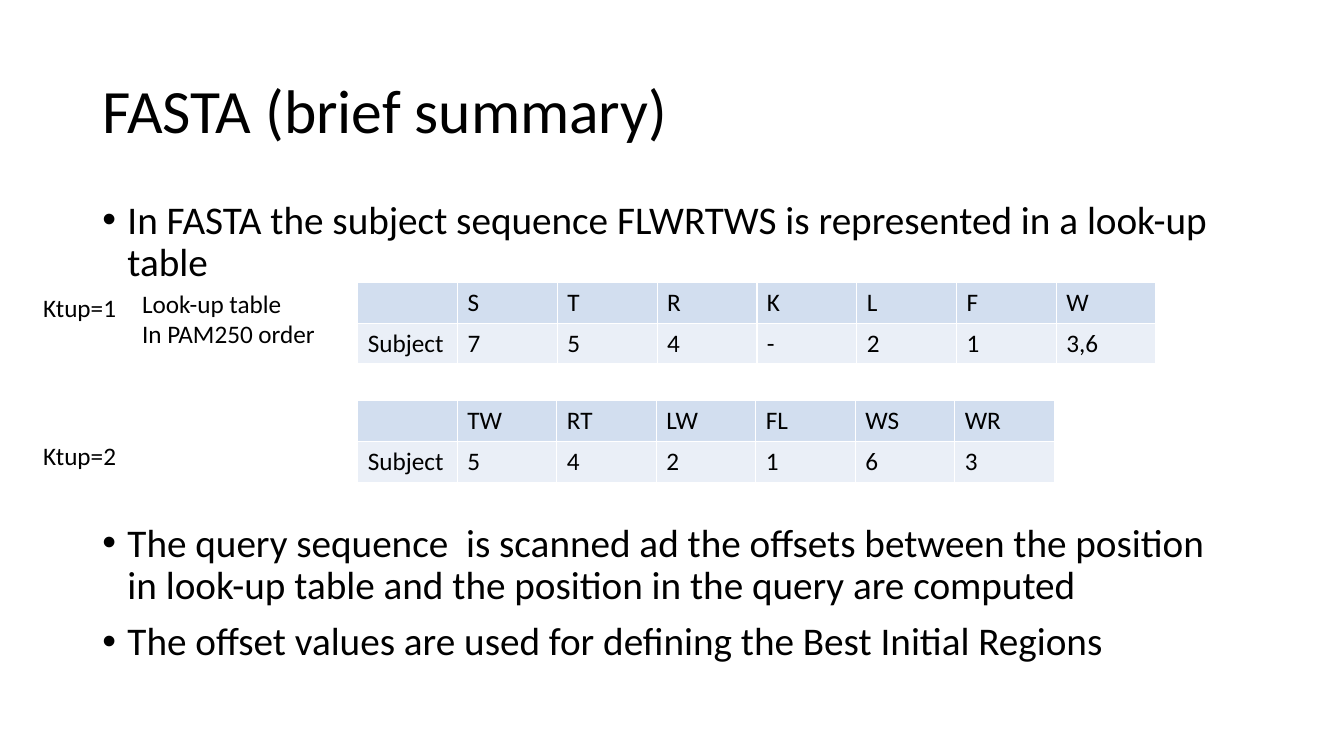
from dataclasses import dataclass

from lxml import etree
from pptx import Presentation
from pptx.dml.color import RGBColor
from pptx.enum.text import MSO_ANCHOR, MSO_AUTO_SIZE
from pptx.oxml.ns import qn
from pptx.util import Pt

BLACK = RGBColor(0x00, 0x00, 0x00)
WHITE = RGBColor(0xFF, 0xFF, 0xFF)
HEADER_BLUE = RGBColor(0xD2, 0xDE, 0xEF)
ROW_BLUE = RGBColor(0xEA, 0xEF, 0xF7)
FONT = "Calibri"

TABLE_LEFT = 255.6
ROW_HEIGHT = 29.2
BULLET_INDENT = 18


@dataclass
class TextBlock:
    left: float
    top: float
    width: float
    height: float
    lines: list[str]
    size: float = 18
    wrap: bool = False
    anchor: MSO_ANCHOR = MSO_ANCHOR.TOP
    line_spacing: float = 1.0


@dataclass
class LookupTable:
    top: float
    width: float
    words: list[str]
    positions: list[str]


def style_paragraph(paragraph, size: float) -> None:
    paragraph.font.name = FONT
    paragraph.font.size = Pt(size)
    paragraph.font.color.rgb = BLACK


def add_text(slide, block: TextBlock):
    box = slide.shapes.add_textbox(
        Pt(block.left), Pt(block.top), Pt(block.width), Pt(block.height))
    frame = box.text_frame
    frame.word_wrap = block.wrap
    frame.auto_size = MSO_AUTO_SIZE.NONE if block.wrap else MSO_AUTO_SIZE.SHAPE_TO_FIT_TEXT
    frame.vertical_anchor = block.anchor
    frame.text = "\n".join(block.lines)
    for paragraph in frame.paragraphs:
        style_paragraph(paragraph, block.size)
        paragraph.line_spacing = block.line_spacing
    return frame


def add_bullet(paragraph, space_before: float) -> None:
    paragraph.space_before = Pt(space_before)
    properties = paragraph._p.get_or_add_pPr()
    properties.set("marL", str(Pt(BULLET_INDENT)))
    properties.set("indent", str(-Pt(BULLET_INDENT)))
    bullet_font = etree.Element(qn("a:buFont"), typeface="Arial")
    bullet = etree.Element(qn("a:buChar"), char="•")
    defaults = properties.find(qn("a:defRPr"))
    if defaults is None:
        properties.extend([bullet_font, bullet])
    else:
        defaults.addprevious(bullet_font)
        defaults.addprevious(bullet)


def add_borders(cell) -> None:
    properties = cell._tc.get_or_add_tcPr()
    for side in ("lnL", "lnR", "lnT", "lnB"):
        line = etree.SubElement(properties, qn(f"a:{side}"), w=str(Pt(1)))
        fill = etree.SubElement(line, qn("a:solidFill"))
        etree.SubElement(fill, qn("a:srgbClr"), val=str(WHITE))


def add_lookup_table(slide, lookup: LookupTable) -> None:
    rows = [["", *lookup.words], ["Subject", *lookup.positions]]
    column_count = len(rows[0])
    table = slide.shapes.add_table(
        len(rows), column_count, Pt(TABLE_LEFT), Pt(lookup.top),
        Pt(lookup.width), Pt(ROW_HEIGHT * len(rows))).table
    for column in table.columns:
        column.width = Pt(lookup.width / column_count)
    for row, values, color in zip(table.rows, rows, (HEADER_BLUE, ROW_BLUE)):
        row.height = Pt(ROW_HEIGHT)
        for cell, value in zip(row.cells, values):
            add_borders(cell)
            cell.fill.solid()
            cell.fill.fore_color.rgb = color
            cell.text = value
            style_paragraph(cell.text_frame.paragraphs[0], 18)
            cell.text_frame.paragraphs[0].font.bold = False


presentation = Presentation()
presentation.slide_width = Pt(960)
presentation.slide_height = Pt(540)
slide = presentation.slides.add_slide(presentation.slide_layouts[6])

# Title
add_text(slide, TextBlock(66, 28.75, 828, 104.4, ["FASTA (brief summary)"], size=44,
                          wrap=True, anchor=MSO_ANCHOR.MIDDLE, line_spacing=0.9))

# Bullets, with room for the tables after the first
bullets = add_text(slide, TextBlock(66, 139.7, 828, 342.6, [
    "In FASTA the subject sequence FLWRTWS is represented in a look-up table",
    "The query sequence  is scanned ad the offsets between the position "
    "in look-up table and the position in the query are computed",
    "The offset values are used for defining the Best Initial Regions",
], size=28, wrap=True, line_spacing=0.9))
for paragraph, space_before in zip(bullets.paragraphs, (10, 170, 10)):
    add_bullet(paragraph, space_before)

# Look-up tables
LOOKUP_TABLES = [
    LookupTable(201.6, 570.24, ["S", "T", "R", "K", "L", "F", "W"],
                ["7", "5", "4", "-", "2", "1", "3,6"]),
    LookupTable(286.2, 497.5, ["TW", "RT", "LW", "FL", "WS", "WR"],
                ["5", "4", "2", "1", "6", "3"]),
]
for lookup in LOOKUP_TABLES:
    add_lookup_table(slide, lookup)

# Table labels
LABELS = [
    TextBlock(94.4, 202.3, 139, 50.9, ["Look-up table", "In PAM250 order"]),
    TextBlock(23.8, 205.2, 67, 29.1, ["Ktup=1"]),
    TextBlock(23.8, 311, 67, 29.1, ["Ktup=2"]),
]
for label in LABELS:
    add_text(slide, label)

presentation.save("out.pptx")
